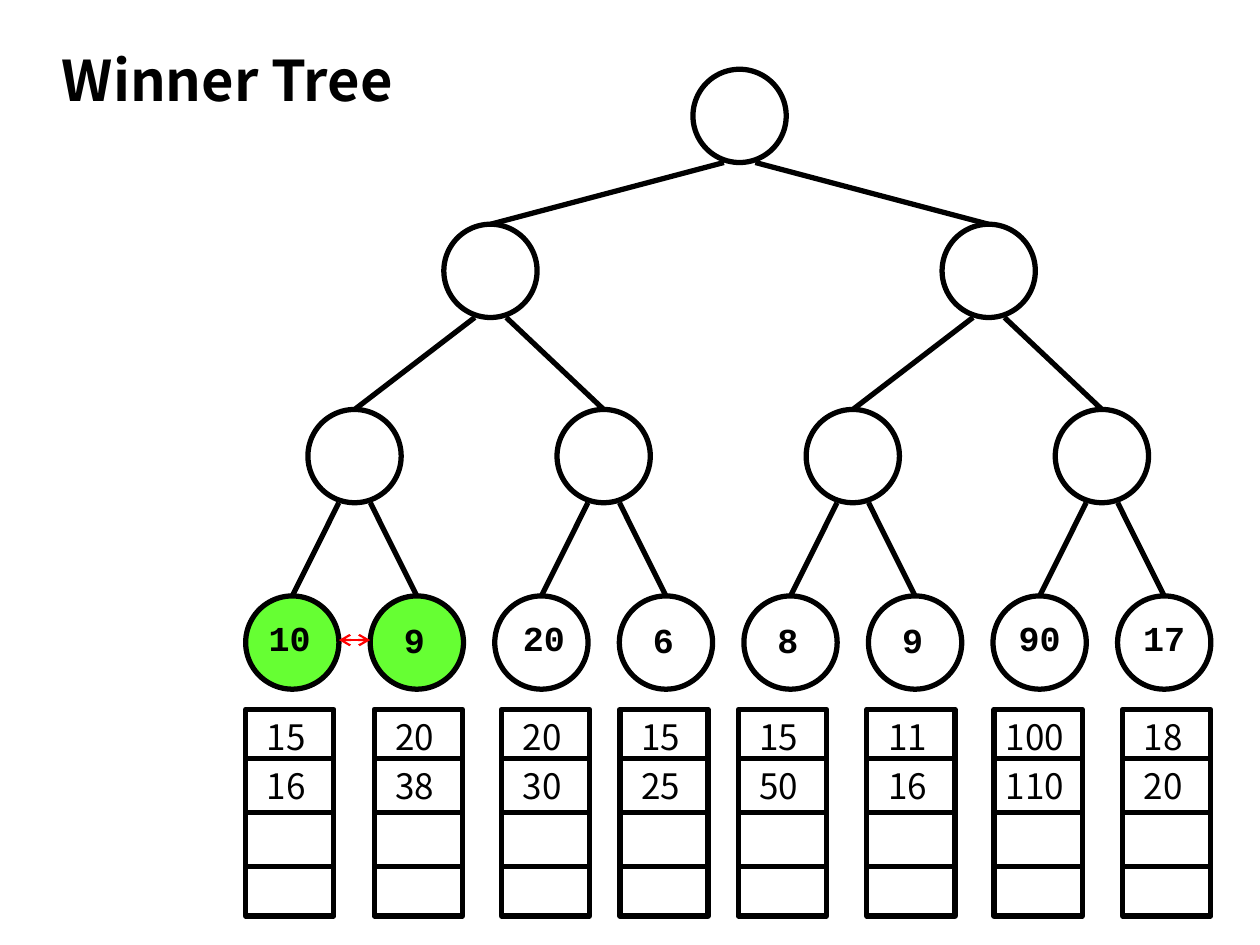
from dataclasses import dataclass
from typing import Any

from lxml import etree
from pptx import Presentation
from pptx.dml.color import RGBColor
from pptx.enum.shapes import MSO_CONNECTOR, MSO_SHAPE
from pptx.enum.text import MSO_ANCHOR, MSO_AUTO_SIZE, PP_ALIGN
from pptx.oxml.ns import qn
from pptx.util import Inches, Pt

OVAL, RECTANGLE = MSO_SHAPE.OVAL, MSO_SHAPE.RECTANGLE
STRAIGHT = MSO_CONNECTOR.STRAIGHT
LEFT, CENTER = PP_ALIGN.LEFT, PP_ALIGN.CENTER
TOP = MSO_ANCHOR.TOP
GROW = MSO_AUTO_SIZE.SHAPE_TO_FIT_TEXT

COLORS = {"ink": "000000", "active": "66FF33", "compare": "FF0000"}
SANS, MONO = "Noto Sans CJK KR", "Courier New"

DIAMETER = 0.74
LEAF_TOP, INNER_TOP, SEMI_TOP, ROOT_TOP = 4.73, 3.25, 1.78, 0.55
FIRST_LEAF = 2.32
LEAF_PITCH = 6.92 / 7
SEMI_SHIFT = 0.09
EDGE_SPREAD = 0.125
QUEUE_TOP, QUEUE_WIDTH, QUEUE_HEIGHT = 5.63, 0.7, 1.64
DIVIDERS = (6.02, 6.45, 6.88)
LABEL_HEIGHT = 0.44


@dataclass
class Node:
    center: float
    top: float


@dataclass
class Run:
    winner: str
    waiting: tuple[str, str]
    queue_left: float
    label_shift: float
    active: bool = False


RUNS = [
    Run("10", ("15", "16"), 1.95, -0.02, True),
    Run("9", ("20", "38"), 2.97, -0.02, True),
    Run("20", ("20", "30"), 3.98, 0.02),
    Run("6", ("15", "25"), 4.92, -0.02),
    Run("8", ("15", "50"), 5.86, -0.02),
    Run("9", ("11", "16"), 6.88, -0.02),
    Run("90", ("100", "110"), 7.89, 0),
    Run("17", ("18", "20"), 8.91, 0),
]


def rgb(name: str) -> RGBColor:
    return RGBColor.from_string(COLORS[name])


def draw_outline(shapes: Any, kind: Any, left: float, top: float,
                 width: float, height: float, fill: str | None = None) -> None:
    outline = shapes.add_shape(kind, Inches(left), Inches(top),
                               Inches(width), Inches(height))
    outline.shadow.inherit = False
    if fill:
        outline.fill.solid()
        outline.fill.fore_color.rgb = rgb(fill)
    else:
        outline.fill.background()
    outline.line.color.rgb = rgb("ink")
    outline.line.width = Pt(3)


def draw_line(shapes: Any, start: tuple[float, float], end: tuple[float, float],
              color: str = "ink", weight: float = 3) -> Any:
    line = shapes.add_connector(STRAIGHT, Inches(start[0]), Inches(start[1]),
                                Inches(end[0]), Inches(end[1]))
    line.line.color.rgb = rgb(color)
    line.line.width = Pt(weight)
    etree.SubElement(line._element.spPr, qn("a:effectLst"))
    return line


def write_text(frame: Any, text: str, size: float, font: str,
               bold: bool = False, align: Any = LEFT) -> None:
    frame.word_wrap = True
    frame.auto_size = GROW
    frame.vertical_anchor = TOP
    paragraph = frame.paragraphs[0]
    paragraph.alignment = align
    run = paragraph.add_run()
    run.text = text
    run.font.size = Pt(size)
    run.font.name = font
    run.font.bold = bold
    run.font.color.rgb = rgb("ink")


def draw_label(shapes: Any, text: str, left: float, top: float, width: float,
               font: str, bold: bool = False, align: Any = LEFT) -> None:
    label = shapes.add_textbox(Inches(left), Inches(top),
                               Inches(width), Inches(LABEL_HEIGHT))
    write_text(label.text_frame, text, 20, font, bold, align)


def draw_node(shapes: Any, node: Node, fill: str | None = None) -> None:
    draw_outline(shapes, OVAL, node.center - DIAMETER / 2, node.top,
                 DIAMETER, DIAMETER, fill)


def draw_leaf(shapes: Any, node: Node, run: Run) -> None:
    leaf = shapes.add_group_shape().shapes
    draw_node(leaf, node, "active" if run.active else None)
    two_digits = len(run.winner) == 2
    width = 0.7 if two_digits else 0.53
    top = 4.84 if two_digits else 4.86
    draw_label(leaf, run.winner, node.center + run.label_shift - width / 2,
               top, width, MONO, True, CENTER)


def draw_queue(shapes: Any, run: Run) -> None:
    queue = shapes.add_group_shape().shapes
    left = run.queue_left
    draw_outline(queue, RECTANGLE, left, QUEUE_TOP, QUEUE_WIDTH, QUEUE_HEIGHT)
    for y in DIVIDERS:
        draw_line(queue, (left, y), (left + QUEUE_WIDTH, y))
    for value, top in zip(run.waiting, (QUEUE_TOP, DIVIDERS[0])):
        width = 0.71 if len(value) == 3 else 0.56
        draw_label(queue, value, left + (QUEUE_WIDTH - width) / 2, top, width, SANS)


def parents_of(children: list[Node], top: float, shift: float = 0) -> list[Node]:
    return [Node((a.center + b.center) / 2 + shift, top)
            for a, b in zip(children[::2], children[1::2])]


def draw_edges(shapes: Any, parents: list[Node], children: list[Node]) -> None:
    for index, child in enumerate(children):
        parent = parents[index // 2]
        side = EDGE_SPREAD if index % 2 else -EDGE_SPREAD
        draw_line(shapes, (child.center, child.top),
                  (parent.center + side, parent.top + DIAMETER))


def draw_comparison(shapes: Any, first: Node, second: Node) -> None:
    arrow = draw_line(shapes, (first.center + DIAMETER / 2, 5.08),
                      (second.center - DIAMETER / 2, 5.08), "compare", 1.25)
    outline = arrow.line._get_or_add_ln()
    for end in ("a:headEnd", "a:tailEnd"):
        etree.SubElement(outline, qn(end), type="arrow")


def main() -> None:
    deck = Presentation()
    deck.slide_width, deck.slide_height = Inches(10), Inches(7.5)
    slide = deck.slides.add_slide(deck.slide_layouts[5])
    shapes = slide.shapes

    title = shapes.title
    title.left, title.top = Inches(0.39), Inches(0.31)
    title.width, title.height = Inches(3.36), Inches(0.64)
    write_text(title.text_frame, "Winner Tree", 32, SANS, True)

    leaves = [Node(FIRST_LEAF + i * LEAF_PITCH, LEAF_TOP) for i in range(len(RUNS))]
    inner = parents_of(leaves, INNER_TOP)
    semifinals = parents_of(inner, SEMI_TOP, SEMI_SHIFT)
    root = parents_of(semifinals, ROOT_TOP)

    for leaf, run in zip(leaves, RUNS):
        draw_leaf(shapes, leaf, run)
    for node in inner + semifinals + root:
        draw_node(shapes, node)
    for parents, children in ((inner, leaves), (semifinals, inner), (root, semifinals)):
        draw_edges(shapes, parents, children)
    for run in RUNS:
        draw_queue(shapes, run)
    draw_comparison(shapes, leaves[0], leaves[1])

    deck.save("out.pptx")


if __name__ == "__main__":
    main()
